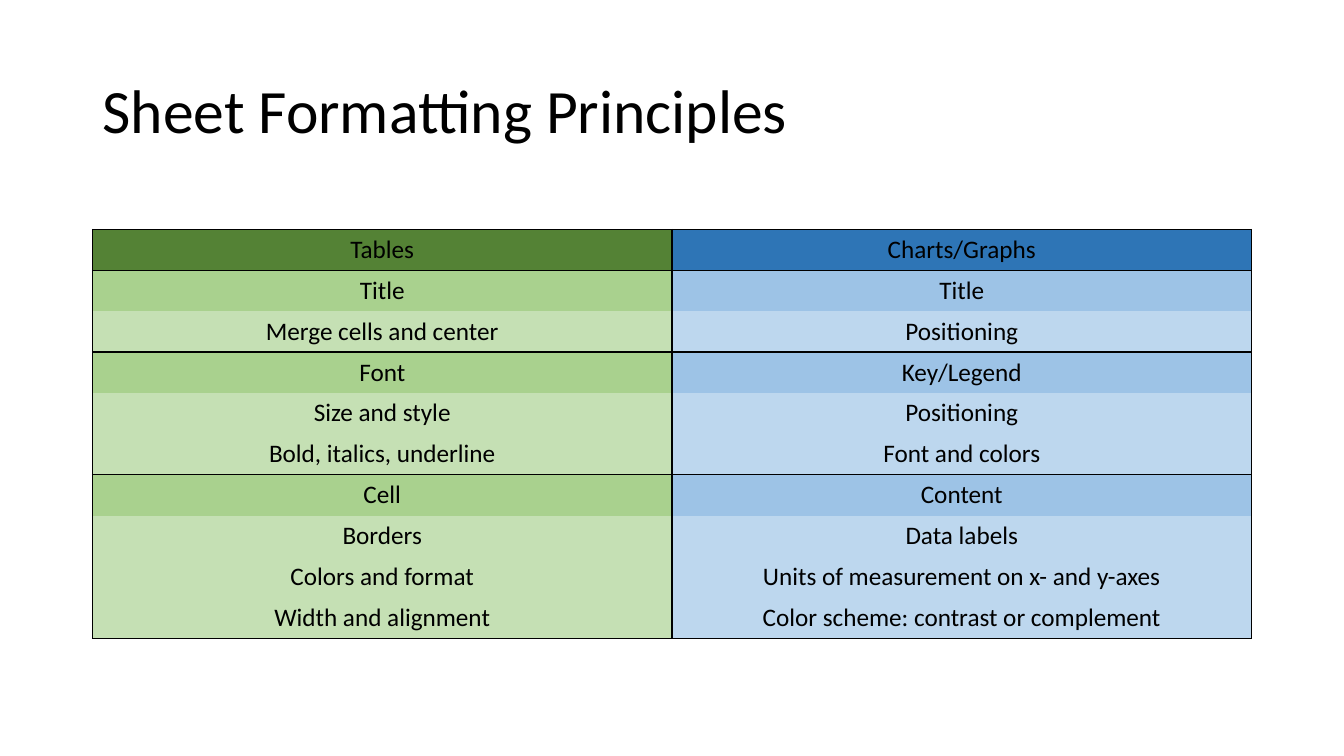
from lxml import etree
from pptx import Presentation
from pptx.dml.color import RGBColor
from pptx.enum.text import MSO_ANCHOR, PP_ALIGN
from pptx.oxml.ns import qn
from pptx.util import Cm, Pt

LEFT, CENTER = PP_ALIGN.LEFT, PP_ALIGN.CENTER
MIDDLE = MSO_ANCHOR.MIDDLE

BLACK = RGBColor(0x00, 0x00, 0x00)
DARK_GREEN = RGBColor(0x54, 0x82, 0x35)
MID_GREEN = RGBColor(0xA9, 0xD1, 0x8E)
PALE_GREEN = RGBColor(0xC5, 0xE0, 0xB4)
DARK_BLUE = RGBColor(0x2E, 0x75, 0xB6)
MID_BLUE = RGBColor(0x9D, 0xC3, 0xE6)
PALE_BLUE = RGBColor(0xBD, 0xD7, 0xEE)

FONT = "Calibri"
TITLE = "Sheet Formatting Principles"
HEADER, TOPIC, DETAIL = range(3)
LEVELS = [HEADER, TOPIC, DETAIL, TOPIC, DETAIL, DETAIL,
          TOPIC, DETAIL, DETAIL, DETAIL]
PRINCIPLES = [
    ((DARK_GREEN, MID_GREEN, PALE_GREEN),
     ["Tables", "Title", "Merge cells and center", "Font", "Size and style",
      "Bold, italics, underline", "Cell", "Borders", "Colors and format",
      "Width and alignment"]),
    ((DARK_BLUE, MID_BLUE, PALE_BLUE),
     ["Charts/Graphs", "Title", "Positioning", "Key/Legend", "Positioning",
      "Font and colors", "Content", "Data labels",
      "Units of measurement on x- and y-axes",
      "Color scheme: contrast or complement"]),
]


def write_text(frame, text, size=18, color=BLACK, align=CENTER, spacing=1.0):
    paragraph = frame.paragraphs[0]
    paragraph.alignment = align
    paragraph.line_spacing = spacing
    run = paragraph.add_run()
    run.text = text
    run.font.name = FONT
    run.font.size = Pt(size)
    run.font.color.rgb = color


def draw_borders(cell, top, bottom):
    properties = cell._tc.get_or_add_tcPr()
    edges = {"a:lnL": True, "a:lnR": True, "a:lnT": top, "a:lnB": bottom}
    for edge, visible in edges.items():
        line = etree.SubElement(properties, qn(edge), w=str(Pt(1)))
        if visible:
            fill = etree.SubElement(line, qn("a:solidFill"))
            etree.SubElement(fill, qn("a:srgbClr"), val=str(BLACK))
        else:
            etree.SubElement(line, qn("a:noFill"))


def place_title(slide, left, top, width, height):
    title = slide.shapes.title
    title.left, title.top, title.width, title.height = left, top, width, height
    title.text_frame.word_wrap = True
    title.text_frame.vertical_anchor = MIDDLE
    write_text(title.text_frame, TITLE, size=44, align=LEFT, spacing=0.9)


def place_principles(slide, left, top, width, height):
    table = slide.shapes.add_table(
        len(LEVELS), len(PRINCIPLES), left, top, width, height).table
    table.first_row = False
    table.horz_banding = False
    section_starts = [level != DETAIL for level in LEVELS] + [True]
    section_starts[1] = True
    for column, (shades, entries) in enumerate(PRINCIPLES):
        for row, (level, entry) in enumerate(zip(LEVELS, entries)):
            cell = table.cell(row, column)
            draw_borders(cell, section_starts[row], section_starts[row + 1])
            cell.fill.solid()
            cell.fill.fore_color.rgb = shades[level]
            write_text(cell.text_frame, entry)


def main():
    presentation = Presentation()
    presentation.slide_width = Cm(33.87)
    presentation.slide_height = Cm(19.05)
    slide = presentation.slides.add_slide(presentation.slide_layouts[5])
    left, width = Cm(2.33), Cm(29.21)
    place_title(slide, left, Cm(1.01), width, Cm(3.68))
    place_principles(slide, left, Cm(5.78), width, Cm(10.3))
    presentation.save("out.pptx")


if __name__ == "__main__":
    main()
